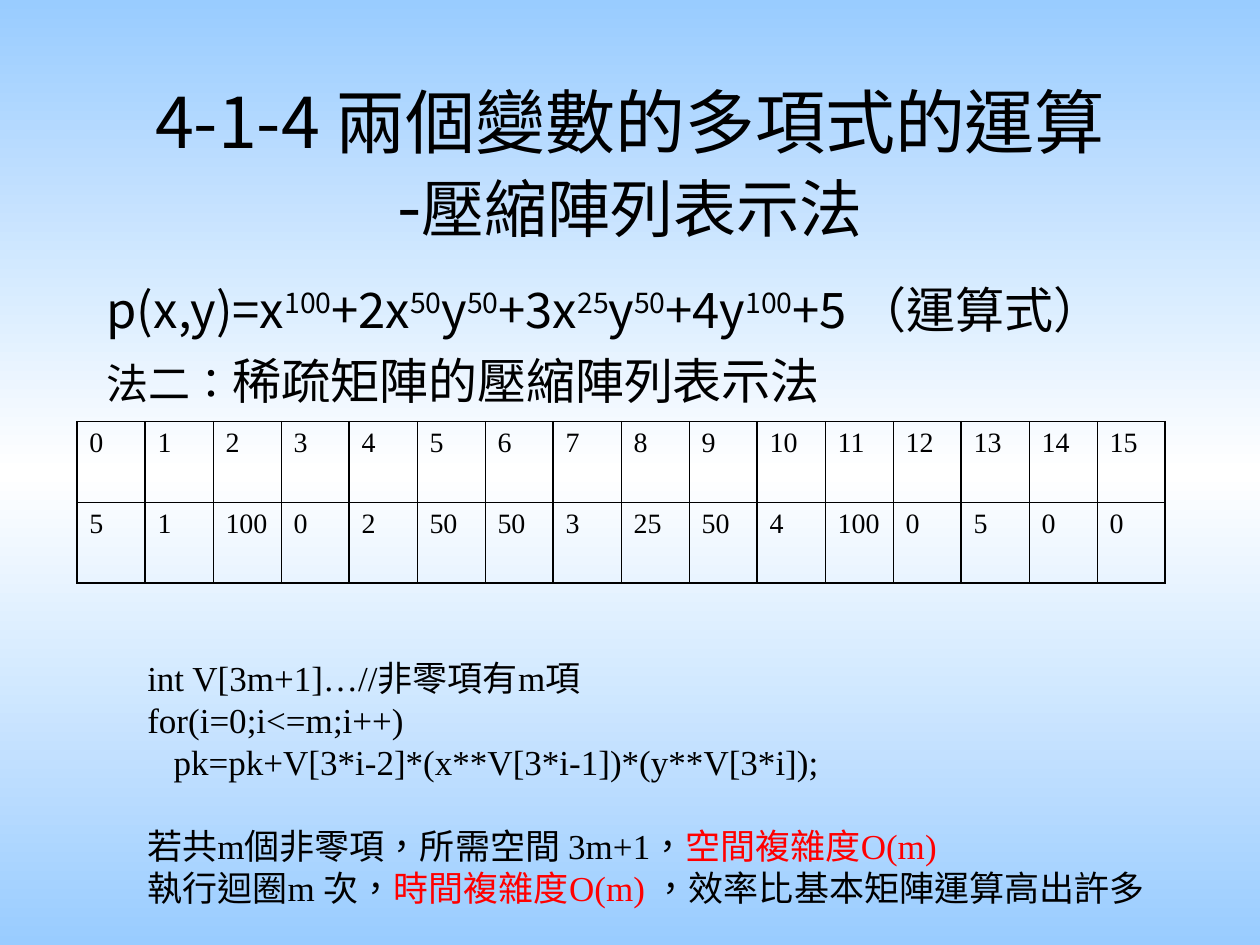
from copy import deepcopy

from lxml import etree
from pptx import Presentation, util as u
from pptx.dml.color import RGBColor
from pptx.enum import text
from pptx.oxml.ns import qn

SANS, SERIF = "Noto Sans CJK SC", "Times New Roman"
BLACK, RED, SKY, WHITE = "000000", "FF0000", "99CCFF", "FFFFFF"
THIN, EDGE, THICK = 0.45, 1.08, 1.47


def tint(code):
    return RGBColor.from_string(code)


class Deck:
    def __init__(self):
        self.prs = Presentation()
        self.prs.slide_width, self.prs.slide_height = u.Cm(25.4), u.Cm(19.05)
        self.slide = self.prs.slides.add_slide(self.prs.slide_layouts[6])

    def back(self, *codes):
        """Vertical gradient with evenly spaced colours."""
        fill = self.slide.background.fill
        fill.gradient()
        fill.gradient_angle = 270
        first = self.slide.element.find(".//" + qn("a:gs"))
        while len(fill.gradient_stops) < len(codes):
            first.addnext(deepcopy(first))
        for i, stop in enumerate(fill.gradient_stops):
            stop.position = i / (len(codes) - 1)
            stop.color.rgb = tint(codes[i])

    def style(self, run, size, face, code=BLACK, base=0):
        font = run.font
        font.size, font.name, font.color.rgb = u.Pt(size), face, tint(code)
        props = run._r.get_or_add_rPr()
        props.set("lang", "zh-TW")
        if base:
            props.set("baseline", str(base * 1000))
        east = etree.Element(qn("a:ea"), typeface=SANS)
        props.find(qn("a:latin")).addnext(east)

    def box(self, x, y, w, h, paras, gaps=(), hang=0, mid=False):
        """Each paragraph is a list of (words, size, face, colour, base)."""
        shape = self.slide.shapes.add_textbox(u.Cm(x), u.Cm(y), u.Cm(w), u.Cm(h))
        frame = shape.text_frame
        frame.word_wrap = True
        if mid:
            frame.vertical_anchor = text.MSO_ANCHOR.MIDDLE
        for i, runs in enumerate(paras):
            para = frame.add_paragraph() if i else frame.paragraphs[0]
            para.alignment = text.PP_ALIGN.CENTER if mid else text.PP_ALIGN.LEFT
            if i in gaps:
                para.space_before = u.Pt(gaps[i])
            if hang:
                props = para._p.get_or_add_pPr()
                props.set("marL", str(u.Cm(hang)))
                props.set("indent", str(-u.Cm(hang)))
            for words, *look in runs:
                if words == "\n":
                    para.add_line_break()
                    continue
                run = para.add_run()
                run.text = words
                self.style(run, *look)

    def edge(self, cell, **sides):
        props = cell._tc.get_or_add_tcPr()
        for i, (side, width) in enumerate(sides.items()):
            line = etree.Element(qn("a:ln" + side), w=str(u.Pt(width)))
            fill = etree.SubElement(line, qn("a:solidFill"))
            etree.SubElement(fill, qn("a:srgbClr"), val=BLACK)
            props.insert(i, line)

    def grid(self, x, y, w, h, rows):
        high, wide = len(rows), len(rows[0])
        table = self.slide.shapes.add_table(
            high, wide, u.Cm(x), u.Cm(y), u.Cm(w), u.Cm(h)).table
        table.first_row = table.horz_banding = False
        for r, row in enumerate(rows):
            for c, value in enumerate(row):
                cell = table.cell(r, c)
                cell.text = str(value)
                self.style(cell.text_frame.paragraphs[0].runs[0], 16, SERIF)
                cell.fill.background()
                # A thick rule parts the count and each term of three
                self.edge(
                    cell,
                    L=EDGE if c == 0 else THICK if c % 3 == 1 else THIN,
                    R=EDGE if c == wide - 1 else THICK if c % 3 == 0 else THIN,
                    T=THIN if r else EDGE,
                    B=EDGE if r == high - 1 else THIN)


def main():
    deck = Deck()
    deck.back(SKY, WHITE, SKY)

    # Title
    deck.box(1.9, 1.68, 21.6, 3.18, [[
        ("4-1-4 兩個變數的多項式的運算", 40, SANS), ("\n",),
        ("-", 40, SANS), ("壓縮陣列表示法", 36, SANS)]], mid=True)

    # Polynomial: every second part is an exponent
    parts = "p(x,y)=x|100|+2x|50|y|50|+3x|25|y|50|+4y|100|+5 （運算式）".split("|")
    deck.box(1.9, 5.51, 23.5, 11.43, [
        [(part, 28, SANS, BLACK, 30 * (i % 2)) for i, part in enumerate(parts)],
        [("法二：", 24, SERIF), ("稀疏矩陣的壓縮陣列表示法", 28, SANS)],
    ], gaps={1: 7}, hang=0.97)

    # Packed array: index above value
    terms = [5, 1, 100, 0, 2, 50, 50, 3, 25, 50, 4, 100, 0, 5, 0, 0]
    deck.grid(1.55, 8.5, 21.95, 3.25, [range(len(terms)), terms])

    # Code and cost
    body = (20, SERIF)
    deck.box(2.72, 13.1, 21.8, 5.33, [
        [("int V[3m+1]…//非零項有m項", *body)],
        [("for(i=0;i<=m;i++)", *body)],
        [("   pk=pk+V[3*i-2]*(x**V[3*i-1])*(y**V[3*i]);", *body)],
        [("若共m個非零項，所需空間 3m+1，", *body), ("空間複雜度O(m)", *body, RED)],
        [("執行迴圈m 次，", *body), ("時間複雜度O(m) ", *body, RED),
         ("，效率比基本矩陣運算高出許多", *body)],
    ], gaps={3: 24})

    deck.prs.save("out.pptx")


if __name__ == "__main__":
    main()
